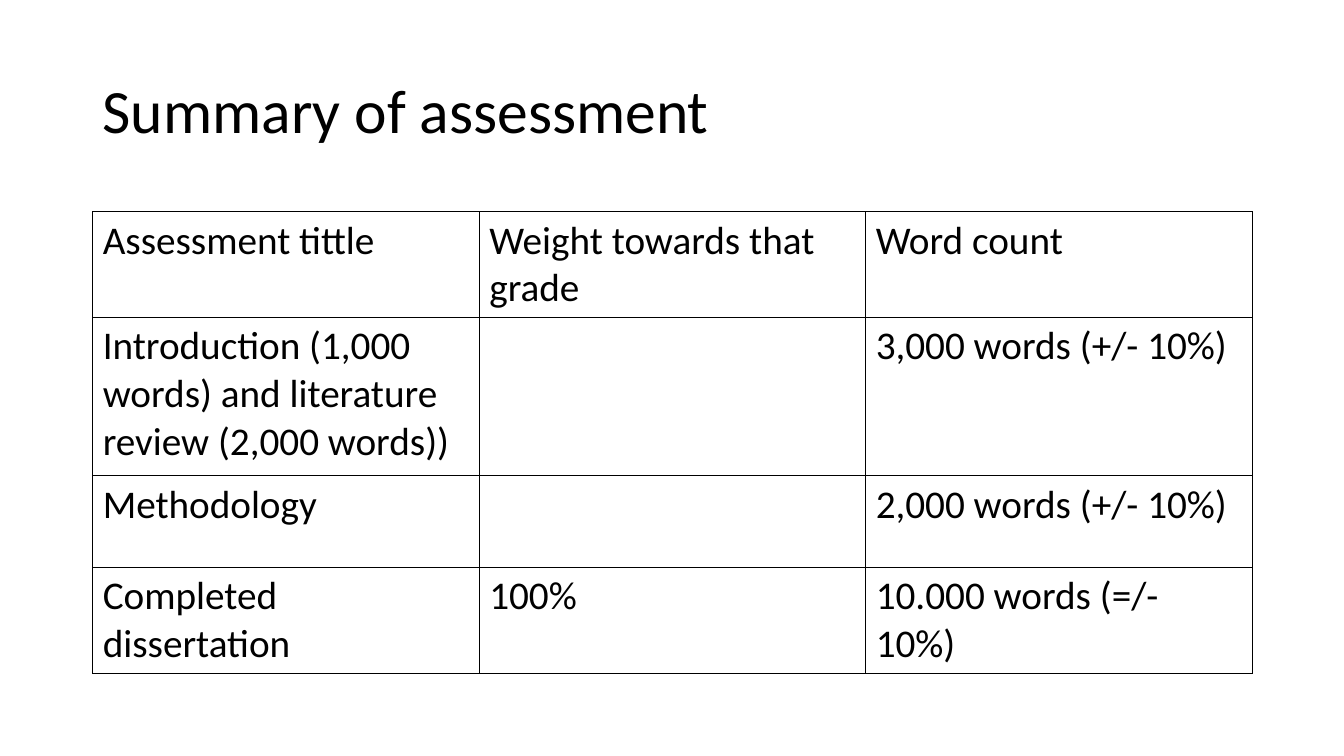
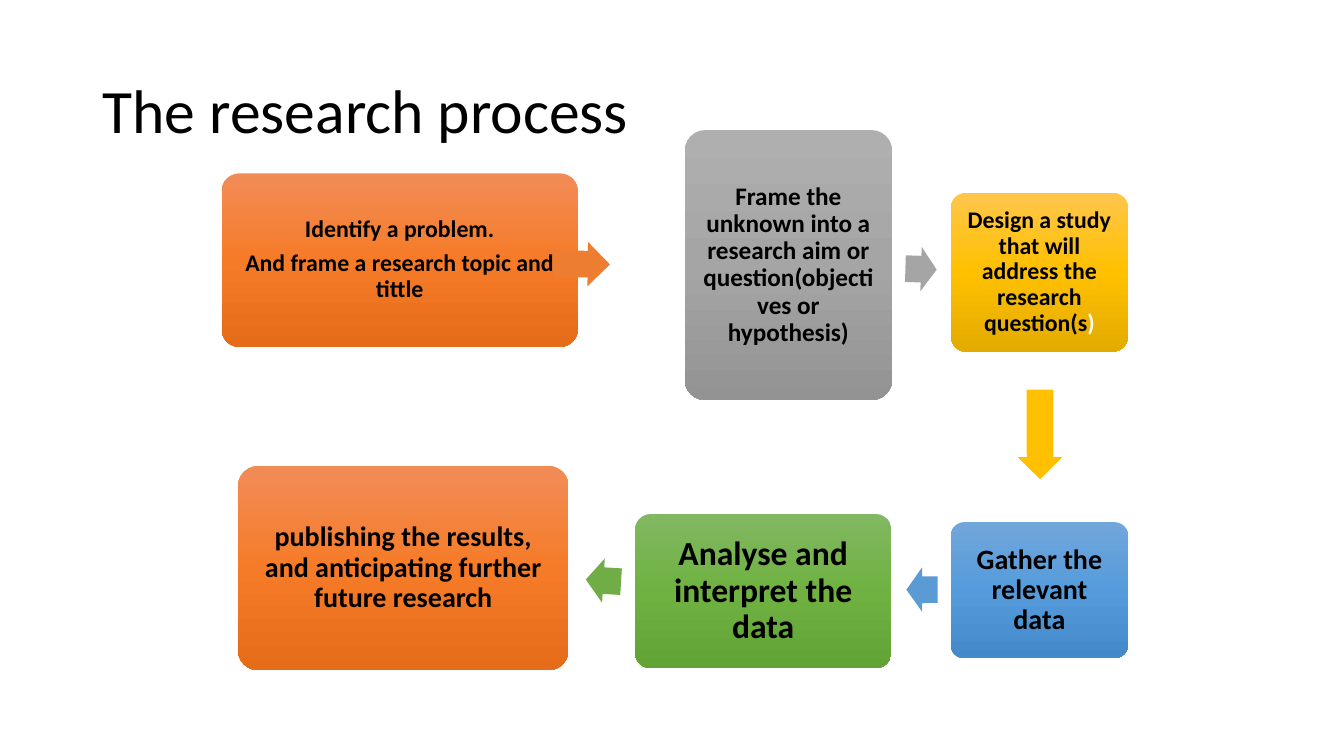
from copy import deepcopy
from dataclasses import dataclass

from pptx import Presentation
from pptx.dml.color import RGBColor
from pptx.enum.shapes import MSO_SHAPE
from pptx.enum.text import MSO_ANCHOR, PP_ALIGN
from pptx.oxml import parse_xml
from pptx.oxml.ns import nsdecls, qn
from pptx.util import Inches, Pt


@dataclass(frozen=True)
class Theme:
    font: str = "Calibri"
    ink: str = "000000"
    paper: str = "FFFFFF"
    title_size: int = 44
    table_size: int = 28
    line_spacing: float = 0.9
    space_after: float = 0.35  # share of the type size
    border: float = 1
    # top, middle and bottom of each step's gradient
    orange: tuple = ("F18C57", "F67B28", "E56C19")
    grey: tuple = ("AFAFAF", "A5A5A5", "939393")
    gold: tuple = ("FFC64B", "FFC000", "E3AB00")
    blue: tuple = ("71A6DB", "559BDB", "448ACA")
    green: tuple = ("81B861", "6FB242", "62A336")
    orange_arrow: str = "ED7D31"
    grey_arrow: str = "A5A5A5"
    gold_arrow: str = "FFC000"
    blue_arrow: str = "5B9BD5"
    green_arrow: str = "70AD47"


THEME = Theme()


def apply(target, formats):
    for name, value in formats.items():
        setattr(target, name, value)


def inches(*lengths):
    return [Inches(length) for length in lengths]


class Deck:
    def __init__(self, theme):
        self.theme = theme
        self.presentation = Presentation()
        apply(self.presentation, {"slide_width": Inches(13.33), "slide_height": Inches(7.5)})
        self.slide = None

    def new_slide(self, title):
        self.slide = self.presentation.slides.add_slide(self.presentation.slide_layouts[6])
        frame = self.slide.shapes.add_textbox(*inches(0.92, 0.4, 11.5, 1.45)).text_frame
        apply(frame, {"word_wrap": True, "vertical_anchor": MSO_ANCHOR.MIDDLE})
        heading = frame.paragraphs[0]
        heading.line_spacing = self.theme.line_spacing
        self.run(heading, title, self.theme.title_size)

    def run(self, paragraph, text, size, bold=False, color=None):
        run = paragraph.add_run()
        run.text = text
        apply(run.font, {"name": self.theme.font, "size": Pt(size), "bold": bold})
        run.font.color.rgb = RGBColor.from_string(color or self.theme.ink)

    def table(self, position, row_heights, rows):
        grid = self.slide.shapes.add_table(len(rows), len(rows[0]), *inches(*position)).table
        apply(grid, {"first_row": False, "horz_banding": False})
        for row, height, texts in zip(grid.rows, row_heights, rows):
            row.height = Inches(height)
            for cell, text in zip(row.cells, texts):
                self.outline(cell)
                cell.fill.background()
                paragraph = cell.text_frame.paragraphs[0]
                paragraph.font.size = Pt(self.theme.table_size)
                if text:
                    self.run(paragraph, text, self.theme.table_size)

    def outline(self, cell):
        properties = cell._tc.get_or_add_tcPr()
        for side in ("lnL", "lnR", "lnT", "lnB"):
            properties.append(parse_xml(
                f'<a:{side} {nsdecls("a")} w="{Pt(self.theme.border)}"><a:solidFill>'
                f'<a:srgbClr val="{self.theme.ink}"/></a:solidFill></a:{side}>'))

    def preset(self, kind, position, *adjustments):
        shape = self.slide.shapes.add_shape(kind, *inches(*position))
        shape.shadow.inherit = False
        shape.line.fill.background()
        for index, value in enumerate(adjustments):
            shape.adjustments[index] = value
        return shape

    def step(self, position, colors, size, inset, paragraphs):
        """Add a rounded step; each paragraph is a dark text and an optional white one."""
        box = self.preset(MSO_SHAPE.ROUNDED_RECTANGLE, position, 0.1)
        self.shade(box, colors)
        frame = box.text_frame
        apply(frame, {"word_wrap": True, "vertical_anchor": MSO_ANCHOR.MIDDLE})
        apply(frame, {f"margin_{side}": Inches(inset)
                      for side in ("left", "top", "right", "bottom")})
        for index, texts in enumerate(paragraphs):
            paragraph = frame.add_paragraph() if index else frame.paragraphs[0]
            apply(paragraph, {"alignment": PP_ALIGN.CENTER,
                              "line_spacing": self.theme.line_spacing,
                              "space_after": Pt(round(size * self.theme.space_after))})
            for text, color in zip(texts, (self.theme.ink, self.theme.paper)):
                self.run(paragraph, text, size, True, color)

    def shade(self, box, colors):
        """Fill the box with a gradient that runs from top to bottom."""
        box.fill.gradient()
        box.fill.gradient_angle = 270
        stop_list = box._element.spPr.find(".//" + qn("a:gsLst"))
        stop_list.append(deepcopy(stop_list[0]))
        for index, (stop, color) in enumerate(zip(box.fill.gradient_stops, colors)):
            stop.position = index / (len(colors) - 1)
            stop.color.rgb = RGBColor.from_string(color)

    def arrow(self, left, top, length, rotation, color):
        arrow = self.preset(MSO_SHAPE.RIGHT_ARROW, (left, top, length, 0.44), 0.6, 0.5)
        arrow.rotation = rotation
        arrow.fill.solid()
        arrow.fill.fore_color.rgb = RGBColor.from_string(color)


def assessment_slide(deck):
    deck.new_slide("Summary of assessment")
    deck.table((0.92, 2.1, 11.5, 4.58), (1.05, 1.57, 0.91, 1.05), [
        ("Assessment tittle", "Weight towards that grade", "Word count"),
        ("Introduction (1,000 words) and literature review (2,000 words))", "",
         "3,000 words (+/- 10%)"),
        ("Methodology", "", "2,000 words (+/- 10%)"),
        ("Completed dissertation", "100%", "10.000 words (=/- 10%)"),
    ])


def process_slide(deck):
    theme = deck.theme
    deck.new_slide("The research process")
    steps = [
        ((2.2, 1.72, 3.53, 1.72), theme.orange, 17, 0.07,
         [("Identify a problem.",), ("And frame a research topic and tittle",)]),
        ((6.79, 1.29, 2.06, 2.68), theme.grey, 18, 0.07,
         [("Frame the unknown into a research aim or question(objectives or hypothesis)",)]),
        ((9.43, 1.91, 1.76, 1.58), theme.gold, 17, 0.07,
         [("Design a study that will address the research question(s", ")")]),
        ((9.43, 5.18, 1.76, 1.35), theme.blue, 20, 0.08, [("Gather the relevant data",)]),
        ((6.3, 5.1, 2.54, 1.53), theme.green, 24, 0.1, [("Analyse and interpret the data",)]),
        ((2.36, 4.62, 3.28, 2.03), theme.orange, 20, 0.08,
         [("publishing the results, and anticipating further future research",)]),
    ]
    arrows = [
        (5.49, 2.4, 0.56, 0.8, theme.orange_arrow),
        (8.98, 2.45, 0.31, 1.7, theme.grey_arrow),
        (9.87, 4.09, 0.89, 89.9, theme.gold_arrow),
        (8.99, 5.63, 0.31, 179.8, theme.blue_arrow),
        (5.81, 5.54, 0.35, 183.5, theme.green_arrow),
    ]
    for step in steps:
        deck.step(*step)
    for arrow in arrows:
        deck.arrow(*arrow)


def main():
    deck = Deck(THEME)
    assessment_slide(deck)
    process_slide(deck)
    deck.presentation.save("out.pptx")


if __name__ == "__main__":
    main()
